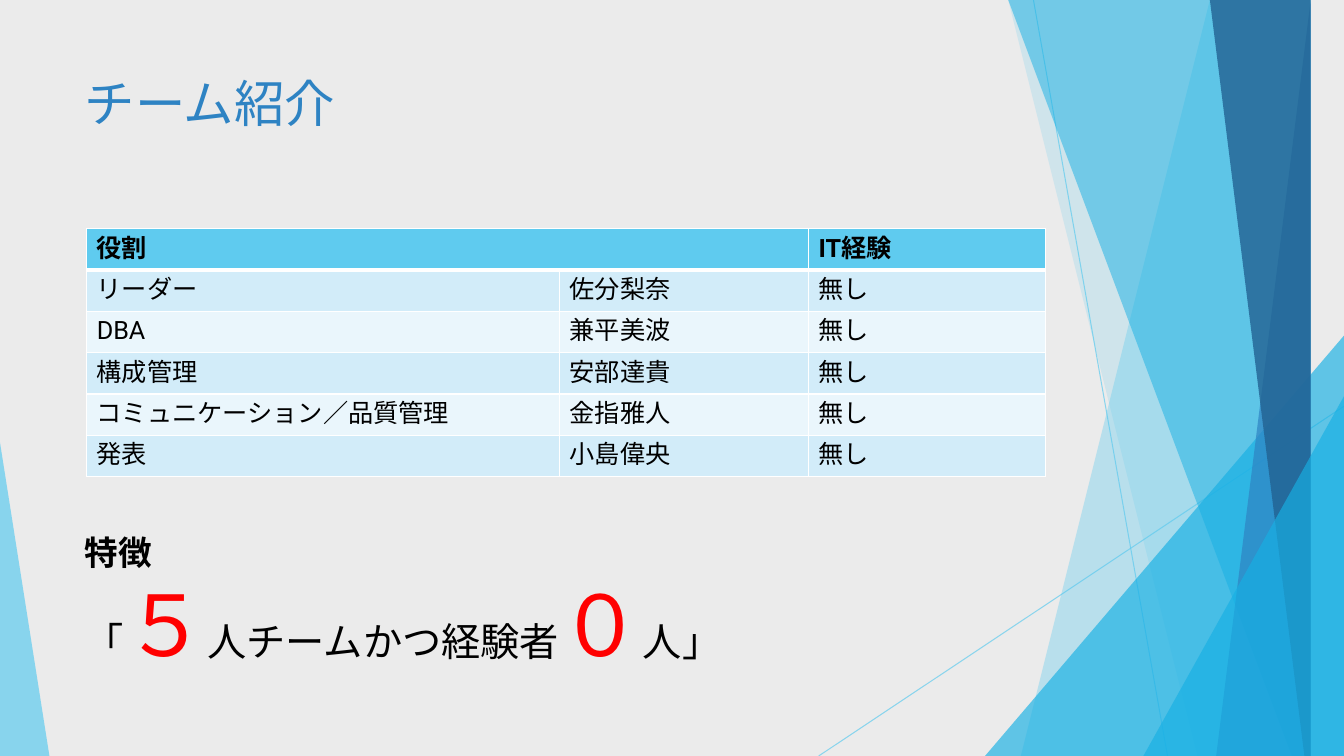
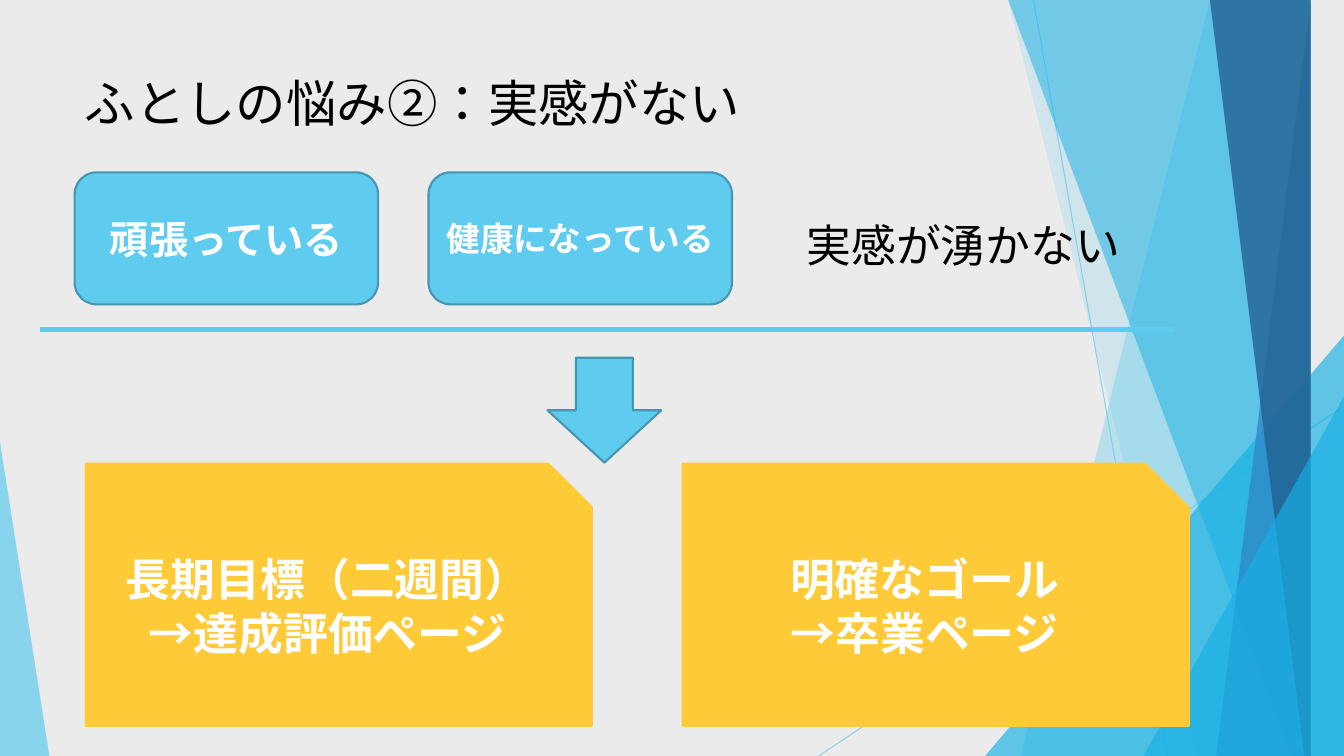
from dataclasses import dataclass

import lxml.etree
import pptx
import pptx.dml.color
import pptx.enum.lang
import pptx.enum.shapes
import pptx.enum.text
import pptx.oxml.ns
import pptx.util

Inches = pptx.util.Inches
Pt = pptx.util.Pt
RGBColor = pptx.dml.color.RGBColor
Shape = pptx.enum.shapes.MSO_SHAPE
Align = pptx.enum.text.PP_ALIGN
Anchor = pptx.enum.text.MSO_ANCHOR
qn = pptx.oxml.ns.qn

FONT = "Roboto"
WIDTH, HEIGHT = 13.33, 7.5
BLACK = RGBColor(0x00, 0x00, 0x00)
WHITE = RGBColor(0xFF, 0xFF, 0xFF)
RED = RGBColor(0xFF, 0x00, 0x00)
GRAY = RGBColor(0xEB, 0xEB, 0xEB)
SKY = RGBColor(0x5F, 0xCB, 0xEF)
AZURE = RGBColor(0x17, 0xB0, 0xE4)
BLUE = RGBColor(0x2E, 0x83, 0xC3)
NAVY = RGBColor(0x22, 0x62, 0x92)
TEAL = RGBColor(0x46, 0x96, 0xB1)
GOLD = RGBColor(0xFF, 0xCA, 0x38)
ROWS = (RGBColor(0xD2, 0xEC, 0xF9), RGBColor(0xEA, 0xF6, 0xFC))


@dataclass
class Ray:
    start: tuple[float, float]
    end: tuple[float, float]


@dataclass
class Band:
    """A strip from a slanted left side to the right slide edge."""
    top: float
    base: float
    color: RGBColor
    alpha: int


@dataclass
class Wedge:
    """A right triangle; its tip is at the left (0) or the right (1)."""
    box: tuple[float, float, float, float]
    tip: int
    color: RGBColor
    alpha: int


@dataclass
class Block:
    kind: Shape
    box: tuple[float, float, float, float]
    fill: RGBColor
    edge: RGBColor
    lines: tuple[str, ...] = ()
    size: int = 32


BACKDROP = (
    Ray((10.25, 0), (11.58, HEIGHT)),
    Ray((WIDTH, 4.03), (8.12, HEIGHT)),
    Band(12.28, 10.04, SKY, 36),
    Band(10.5, 11.83, SKY, 20),
    Wedge((9.77, 3.33, 3.56, 4.17), 1, AZURE, 66),
    Band(10.21, 12.91, AZURE, 50),
    Band(13.03, 11.92, BLUE, 70),
    Band(11.96, 13.18, NAVY, 80),
    Wedge((11.34, 3.93, 1.99, 3.57), 1, AZURE, 66),
    Wedge((0, 4.39, 0.49, 3.11), 0, SKY, 70),
)

TEAM = (
    ("リーダー", "佐分梨奈", "無し"),
    ("DBA", "兼平美波", "無し"),
    ("構成管理", "安部達貴", "無し"),
    ("コミュニケーション／品質管理", "金指雅人", "無し"),
    ("発表", "小島偉央", "無し"),
)

BLOCKS = (
    Block(Shape.ROUNDED_RECTANGLE, (0.74, 1.71, 3.01, 1.31), SKY, TEAL,
          ("頑張っている",), 28),
    Block(Shape.ROUNDED_RECTANGLE, (4.25, 1.71, 3.01, 1.31), SKY, TEAL,
          ("健康になっている",), 24),
    Block(Shape.DOWN_ARROW, (5.43, 3.55, 1.13, 1.04), SKY, TEAL),
    Block(Shape.SNIP_1_RECTANGLE, (0.85, 4.6, 5.02, 2.6), GOLD, GOLD,
          ("長期目標（二週間）", "→達成評価ページ")),
    Block(Shape.SNIP_1_RECTANGLE, (6.77, 4.6, 5.02, 2.6), GOLD, GOLD,
          ("明確なゴール", "→卒業ページ")),
)


def scale(box) -> list:
    return [Inches(n) for n in box]


def fade(fill, alpha: int) -> None:
    """Set the opacity, in percent, of a solid fill."""
    tint = fill._xPr.find(qn("a:solidFill"))[0]
    lxml.etree.SubElement(tint, qn("a:alpha")).set("val", str(alpha * 1000))


def paint(shape, color: RGBColor, alpha: int = 100) -> None:
    shape.shadow.inherit = False
    shape.fill.solid()
    shape.fill.fore_color.rgb = color
    shape.line.fill.background()
    if alpha < 100:
        fade(shape.fill, alpha)


def write(frame, *lines, size=18, color=BLACK, bold=False,
          align=Align.LEFT, anchor=None) -> None:
    """Fill a frame; a line is text or a list of (text, format) runs."""
    frame.word_wrap = True
    if anchor is not None:
        frame.vertical_anchor = anchor
    for i, line in enumerate(lines):
        par = frame.paragraphs[0] if i == 0 else frame.add_paragraph()
        par.alignment = align
        runs = [(line, {})] if isinstance(line, str) else line
        for text, form in runs:
            run = par.add_run()
            run.text = text
            font = run.font
            font.name = FONT
            font.size = Pt(form.get("size", size))
            font.bold = form.get("bold", bold)
            font.color.rgb = form.get("color", color)
            font.language_id = pptx.enum.lang.MSO_LANGUAGE_ID.JAPANESE
            east = lxml.etree.SubElement(run._r.get_or_add_rPr(), qn("a:ea"))
            east.set("typeface", FONT)


def draw_line(slide, ray: Ray, width: float, alpha: int = 100) -> None:
    line = slide.shapes.add_connector(
        pptx.enum.shapes.MSO_CONNECTOR.STRAIGHT,
        *scale(ray.start), *scale(ray.end))
    line.line.width = Pt(width)
    line.line.color.rgb = SKY
    if alpha < 100:
        fade(line.line.fill, alpha)
    lxml.etree.SubElement(line._element.spPr, qn("a:effectLst"))


def draw_band(slide, band: Band) -> None:
    path = slide.shapes.build_freeform(band.top, 0, Inches(1))
    path.add_line_segments(
        [(WIDTH, 0), (WIDTH, HEIGHT), (band.base, HEIGHT)], close=True)
    paint(path.convert_to_shape(), band.color, band.alpha)


def draw_wedge(slide, wedge: Wedge) -> None:
    shape = slide.shapes.add_shape(
        Shape.ISOSCELES_TRIANGLE, *scale(wedge.box))
    shape.adjustments[0] = wedge.tip
    paint(shape, wedge.color, wedge.alpha)


def draw_block(slide, block: Block) -> None:
    shape = slide.shapes.add_shape(block.kind, *scale(block.box))
    paint(shape, block.fill)
    shape.line.color.rgb = block.edge
    shape.line.width = Pt(1.5)
    write(shape.text_frame, *block.lines, size=block.size, color=WHITE,
          bold=True, align=Align.CENTER, anchor=Anchor.MIDDLE)


def add_text(slide, box, *lines, **form) -> None:
    frame = slide.shapes.add_textbox(*scale(box)).text_frame
    write(frame, *lines, **form)


def add_slide(deck, title: str, color: RGBColor):
    """Start a slide with the shared backdrop and title style."""
    slide = deck.slides.add_slide(deck.slide_layouts[5])
    head = slide.shapes.title
    for part in BACKDROP:
        if isinstance(part, Ray):
            draw_line(slide, part, 0.75, 70)
        elif isinstance(part, Band):
            draw_band(slide, part)
        else:
            draw_wedge(slide, part)
    # Keep the title in front of the backdrop
    slide.shapes._spTree.append(head._element)
    head.left, head.top, head.width, head.height = scale(
        (0.74, 0.67, 9.4, 1.44))
    head.text_frame.auto_size = pptx.enum.text.MSO_AUTO_SIZE.NONE
    write(head.text_frame, title, size=36, color=color, anchor=Anchor.TOP)
    return slide


def edge_cell(cell, **widths: float) -> None:
    """Give a cell white borders, before its fill is set."""
    props = cell._tc.get_or_add_tcPr()
    for side in ("L", "R", "T", "B"):
        line = lxml.etree.SubElement(props, qn("a:ln" + side))
        line.set("w", str(Pt(widths.get(side, 1))))
        fill = lxml.etree.SubElement(line, qn("a:solidFill"))
        lxml.etree.SubElement(fill, qn("a:srgbClr")).set("val", str(WHITE))


def add_team(slide) -> None:
    rows = (("役割", "", "IT経験"),) + TEAM
    table = slide.shapes.add_table(
        len(rows), 3, *scale((0.86, 2.27, 9.51, 2.46))).table
    for col, width in zip(table.columns, (4.69, 2.47, 2.35)):
        col.width = Inches(width)
    for r, row in enumerate(rows):
        table.rows[r].height = Inches(0.41)
        for c, text in enumerate(row):
            cell = table.cell(r, c)
            edge_cell(cell, **({"B": 3} if r == 0 else
                               {"T": 3} if r == 1 else {}))
            cell.fill.solid()
            cell.fill.fore_color.rgb = SKY if r == 0 else ROWS[(r - 1) % 2]
            if text:
                write(cell.text_frame, text, bold=r == 0)
    table.cell(0, 0).merge(table.cell(0, 1))


def main() -> None:
    deck = pptx.Presentation()
    deck.slide_width, deck.slide_height = Inches(WIDTH), Inches(HEIGHT)
    back = deck.slide_master.background.fill
    back.solid()
    back.fore_color.rgb = GRAY

    # Team
    team = add_slide(deck, "チーム紹介", BLUE)
    add_team(team)
    large = {"size": 60, "color": RED}
    add_text(team, (0.74, 5.23, 9.24, 1.82),
             [("特徴", {"size": 24, "bold": True})],
             [("「", {}), ("５", large), ("人チームかつ経験者", {}),
              ("０", large), ("人」", {})], size=28)

    # Worry and goals
    worry = add_slide(deck, "ふとしの悩み②：実感がない", BLACK)
    add_text(worry, (7.9, 2.11, 3.36, 1.44), "実感が湧かない", size=32)
    draw_line(worry, Ray((0.4, 3.27), (11.63, 3.27)), 3)
    for block in BLOCKS:
        draw_block(worry, block)

    deck.save("out.pptx")


if __name__ == "__main__":
    main()
